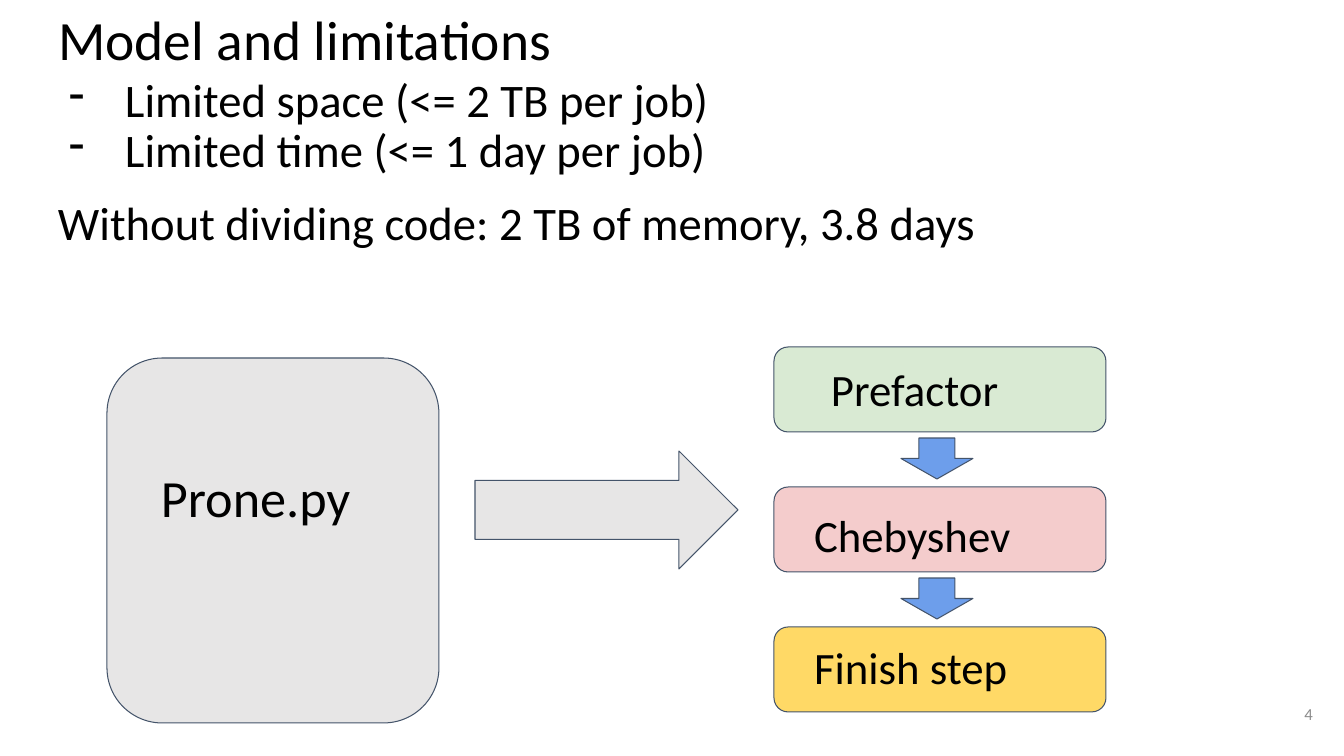
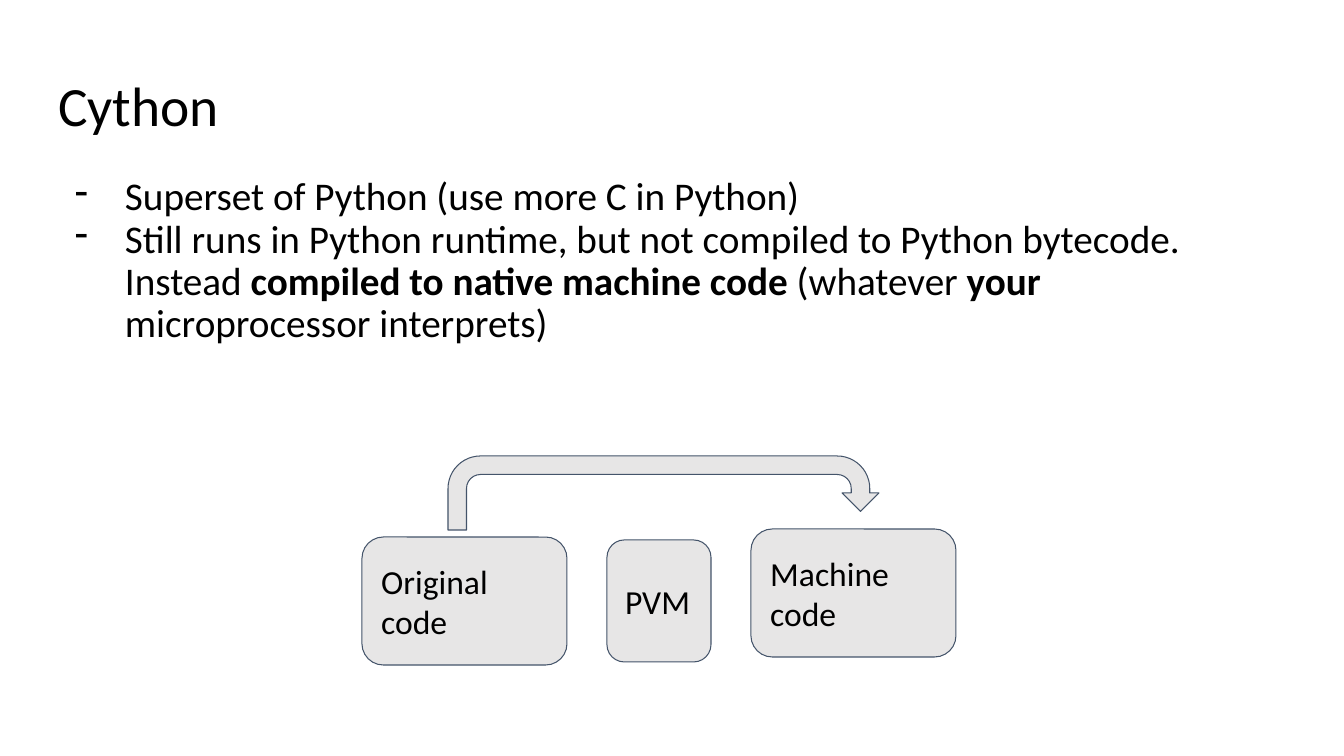
from dataclasses import dataclass
from typing import Optional

import pptx
import pptx.dml.color
import pptx.enum.shapes
import pptx.enum.text
import pptx.oxml.ns
import pptx.util
from lxml import etree

# Shared scale and style
PIXEL = 914400 / 100.8
FONT = "Calibri"
BLACK, GREY, OUTLINE = "000000", "E7E6E6", "44546A"
PAGE_NUMBER_GREY, ARROW_BLUE = "8C8C8C", "6D9EEB"
MARGIN = 13
TITLE_SIZE = 39.6
CONTENT_LEFT, CONTENT_WIDTH, TITLE_HEIGHT = 45, 1252, 85
BULLET_LEFT = 67
TIGHT = 0.9

Shape = pptx.enum.shapes.MSO_SHAPE
Anchor = pptx.enum.text.MSO_ANCHOR
Align = pptx.enum.text.PP_ALIGN


@dataclass(frozen=True)
class Area:
    left: int
    top: int
    width: int
    height: int


@dataclass(frozen=True)
class Words:
    text: str
    bold: bool = False


@dataclass(frozen=True)
class Line:
    words: tuple[Words, ...]
    size: float
    color: str = BLACK
    align: Optional[Align] = None
    spacing: Optional[float] = None
    around: Optional[float] = None
    hanging: Optional[int] = None


@dataclass(frozen=True)
class Figure:
    kind: Shape
    area: Area
    fill: str = GREY
    label: Optional[str] = None
    adjustments: tuple[float, ...] = ()


@dataclass(frozen=True)
class Step:
    name: str
    fill: str
    label_left: int
    label_top: int


def emu(pixels: float) -> int:
    return pptx.util.Emu(round(pixels * PIXEL))


def rgb(value: str) -> pptx.dml.color.RGBColor:
    return pptx.dml.color.RGBColor.from_string(value)


def bounds(area: Area) -> tuple[int, int, int, int]:
    return emu(area.left), emu(area.top), emu(area.width), emu(area.height)


def write(frame, lines: list[Line], anchor: Anchor = Anchor.TOP) -> None:
    """Fill a text frame run by run."""
    frame.word_wrap = True
    frame.auto_size = pptx.enum.text.MSO_AUTO_SIZE.NONE
    frame.vertical_anchor = anchor
    frame.margin_left = frame.margin_right = emu(MARGIN)
    frame.margin_top = frame.margin_bottom = emu(MARGIN)
    for index, line in enumerate(lines):
        para = frame.add_paragraph() if index else frame.paragraphs[0]
        para.alignment = line.align or Align.LEFT
        if line.spacing:
            para.line_spacing = line.spacing
        if line.around:
            para.space_before = para.space_after = pptx.util.Pt(line.around)
        if line.hanging:
            properties = para._p.get_or_add_pPr()
            properties.set("marL", str(emu(BULLET_LEFT)))
            properties.set("indent", str(-emu(line.hanging)))
            bullet = etree.SubElement(properties, pptx.oxml.ns.qn("a:buChar"))
            bullet.set("char", "-")
        for words in line.words:
            span = para.add_run()
            span.text = words.text
            span.font.name = FONT
            span.font.size = pptx.util.Pt(line.size)
            span.font.bold = words.bold
            span.font.color.rgb = rgb(line.color)


def add_text(page, area: Area, lines: list[Line], anchor: Anchor = Anchor.TOP) -> None:
    write(page.shapes.add_textbox(*bounds(area)).text_frame, lines, anchor)


def add_figure(page, figure: Figure) -> None:
    box = page.shapes.add_shape(figure.kind, *bounds(figure.area))
    box.shadow.inherit = False
    box.fill.solid()
    box.fill.fore_color.rgb = rgb(figure.fill)
    box.line.color.rgb = rgb(OUTLINE)
    box.line.width = pptx.util.Pt(0.75)
    for index, value in enumerate(figure.adjustments):
        box.adjustments[index] = value
    if figure.label:
        write(box.text_frame, [Line((Words(figure.label),), 24)], Anchor.MIDDLE)


def add_page(deck, title: str, title_top: int):
    page = deck.slides.add_slide(deck.slide_layouts[5])
    box = page.shapes.title
    area = Area(CONTENT_LEFT, title_top, CONTENT_WIDTH, TITLE_HEIGHT)
    box.left, box.top, box.width, box.height = bounds(area)
    write(box.text_frame, [Line((Words(title),), TITLE_SIZE, spacing=TIGHT)])
    return page


def build_model_page(deck) -> None:
    page = add_page(deck, "Model and limitations", 0)
    add_text(page, Area(1245, 685, 81, 57),
             [Line((Words("4"),), 12, PAGE_NUMBER_GREY, Align.RIGHT)], Anchor.MIDDLE)

    # Limits
    limits = ("Limited space (<= 2 TB per job)", "Limited time (<= 1 day per job)")
    lines = [Line((Words(limit),), 33.3, spacing=TIGHT, hanging=56) for limit in limits]
    summary = Words("Without dividing code: 2 TB of memory, 3.8 days")
    lines.append(Line((summary,), 33.3, spacing=TIGHT, around=16))
    add_text(page, Area(CONTENT_LEFT, 64, CONTENT_WIDTH, 265), lines)

    # Whole program and the arrow to its parts
    add_figure(page, Figure(Shape.ROUNDED_RECTANGLE, Area(107, 358, 332, 365)))
    add_text(page, Area(148, 452, 249, 156), [Line((Words("Prone.py"),), 37.3)])
    add_figure(page, Figure(Shape.RIGHT_ARROW, Area(475, 451, 263, 118)))

    # Column of steps, with an arrow after each but the last
    steps = (
        Step("Prefactor", "D9EAD3", 818, 349),
        Step("Chebyshev", "F4CCCC", 801, 495),
        Step("Finish step", "FFD966", 801, 627),
    )
    first_top, pitch = 347, 140
    for index, step in enumerate(steps):
        top = first_top + index * pitch
        add_figure(page, Figure(Shape.ROUNDED_RECTANGLE, Area(774, top, 332, 85), step.fill))
        add_text(page, Area(step.label_left, step.label_top, 278, 68),
                 [Line((Words(step.name),), 32)])
        if index < len(steps) - 1:
            add_figure(page, Figure(Shape.DOWN_ARROW, Area(901, top + 91, 72, 41), ARROW_BLUE))


def build_cython_page(deck) -> None:
    page = add_page(deck, "Cython", 66)

    # Explanation
    points = (
        (Words("Superset of Python (use more C in Python)"),),
        (
            Words("Still runs in Python runtime, but not compiled to Python bytecode. Instead "),
            Words("compiled to native machine code ", True),
            Words("(whatever "),
            Words("your ", True),
            Words("microprocessor interprets)"),
        ),
    )
    add_text(page, Area(CONTENT_LEFT, 164, CONTENT_WIDTH, 558),
             [Line(point, 28, spacing=TIGHT, hanging=50) for point in points])

    # Path that skips the virtual machine
    figures = (
        Figure(Shape.ROUNDED_RECTANGLE, Area(362, 537, 205, 128), label="Original code"),
        Figure(Shape.U_TURN_ARROW, Area(448, 456, 431, 74),
               adjustments=(0.25, 0.25, 0.25, 0.44, 0.75)),
        Figure(Shape.ROUNDED_RECTANGLE, Area(751, 529, 205, 128), label="Machine code"),
        Figure(Shape.ROUNDED_RECTANGLE, Area(607, 540, 104, 122), label="PVM"),
    )
    for figure in figures:
        add_figure(page, figure)


def main() -> None:
    deck = pptx.Presentation()
    deck.slide_width, deck.slide_height = emu(1344), emu(756)
    build_model_page(deck)
    build_cython_page(deck)
    deck.save("out.pptx")


main()
